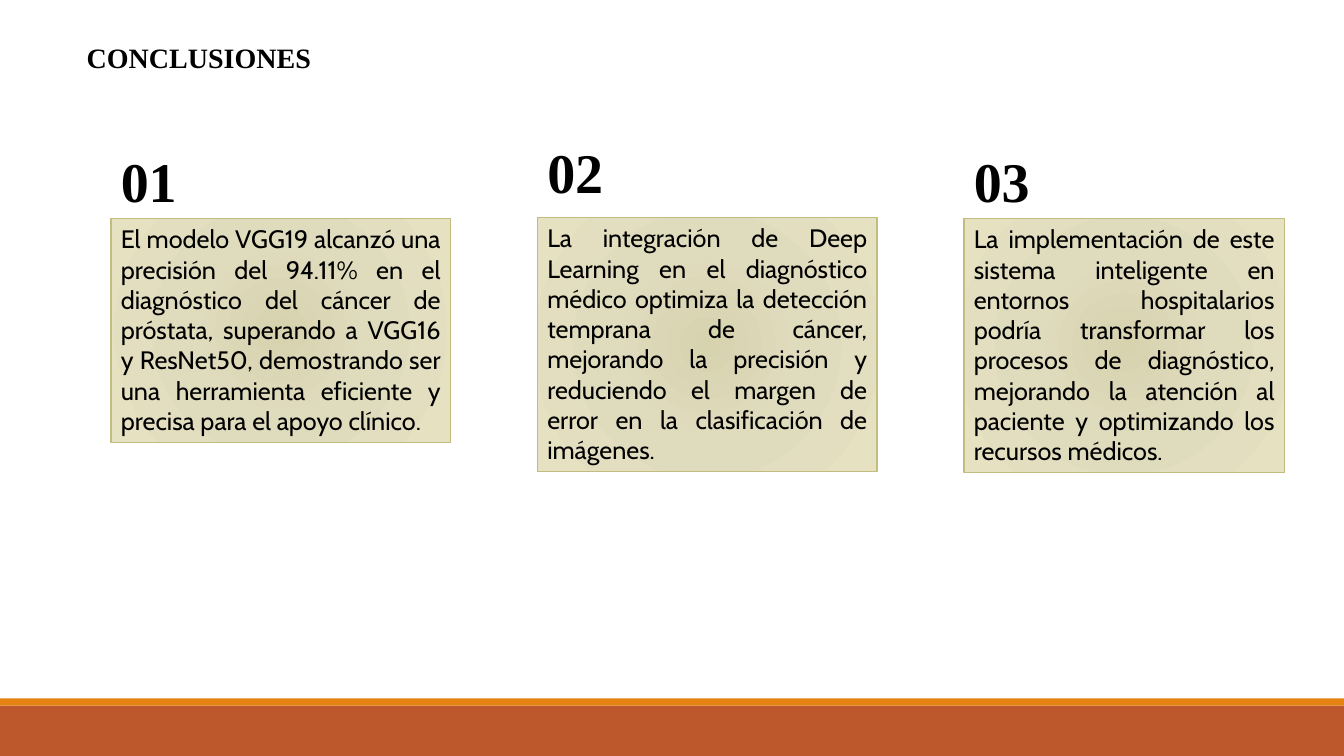
"""Build the conclusions slide with three numbered findings."""
from pptx import Presentation
from pptx.dml.color import RGBColor
from pptx.enum.shapes import MSO_SHAPE
from pptx.enum.text import MSO_ANCHOR, MSO_AUTO_SIZE, PP_ALIGN
from pptx.oxml import parse_xml
from pptx.oxml.ns import nsdecls
from pptx.util import Inches, Pt

CARD_GRADIENT = f"""<a:gradFill {nsdecls("a")} rotWithShape="1">
  <a:gsLst>
    <a:gs pos="0"><a:srgbClr val="D7D3AF"/></a:gs>
    <a:gs pos="45000"><a:srgbClr val="DFDBBD"/></a:gs>
    <a:gs pos="100000"><a:srgbClr val="E5E1C1"/></a:gs>
  </a:gsLst>
  <a:path path="circle">
    <a:fillToRect l="100000" t="100000" r="100000" b="100000"/>
  </a:path>
</a:gradFill>"""


def color(value):
    return RGBColor.from_string(value)


def write(shape, text, font_name, size, bold, alignment, wrap):
    frame = shape.text_frame
    frame.word_wrap = wrap
    frame.auto_size = MSO_AUTO_SIZE.SHAPE_TO_FIT_TEXT
    frame.vertical_anchor = MSO_ANCHOR.TOP
    paragraph = frame.paragraphs[0]
    paragraph.text = text
    paragraph.alignment = alignment
    paragraph.font.name = font_name
    paragraph.font.size = Pt(size)
    paragraph.font.bold = bold
    paragraph.font.color.rgb = color("000000")


presentation = Presentation()
presentation.slide_width = Inches(13.33)
presentation.slide_height = Inches(7.5)
slide = presentation.slides.add_slide(presentation.slide_layouts[6])

for top, height, fill in [(7, 0.5, "BD582C"), (6.93, 0.07, "E48312")]:
    band = slide.shapes.add_shape(
        MSO_SHAPE.RECTANGLE, 0, Inches(top), presentation.slide_width, Inches(height))
    band.shadow.inherit = False
    band.fill.solid()
    band.fill.fore_color.rgb = color(fill)
    band.line.fill.background()

title = slide.shapes.add_textbox(Inches(0.76), Inches(0.35), Inches(2.45), Inches(0.44))
write(title, "CONCLUSIONES", "Times New Roman", 20, True, PP_ALIGN.LEFT, False)

conclusions = [
    (1.1, 1.4, 2.17, 3.37, 2.22,
     "El modelo VGG19 alcanzó una precisión del 94.11% en el diagnóstico del cáncer "
     "de próstata, superando a VGG16 y ResNet50, demostrando ser una herramienta "
     "eficiente y precisa para el apoyo clínico."),
    (5.33, 1.32, 2.16, 3.37, 2.52,
     "La integración de Deep Learning en el diagnóstico médico optimiza la detección "
     "temprana de cáncer, mejorando la precisión y reduciendo el margen de error en "
     "la clasificación de imágenes."),
    (9.56, 1.4, 2.17, 3.18, 2.52,
     "La implementación de este sistema inteligente en entornos hospitalarios podría "
     "transformar los procesos de diagnóstico, mejorando la atención al paciente y "
     "optimizando los recursos médicos."),
]
for index, (left, number_top, card_top, width, height, text) in enumerate(conclusions, 1):
    card = slide.shapes.add_shape(
        MSO_SHAPE.RECTANGLE, Inches(left), Inches(card_top), Inches(width), Inches(height))
    card.shadow.inherit = False
    card.element.spPr.insert(2, parse_xml(CARD_GRADIENT))
    card.line.color.rgb = color("C2BC80")
    card.line.width = Pt(1)
    write(card, text, "Cabin", 18, False, PP_ALIGN.JUSTIFY, True)

    number = slide.shapes.add_textbox(
        Inches(left), Inches(number_top), Inches(0.76), Inches(0.77))
    write(number, f"{index:02}", "Times New Roman", 40, True, PP_ALIGN.LEFT, False)

presentation.save("out.pptx")
